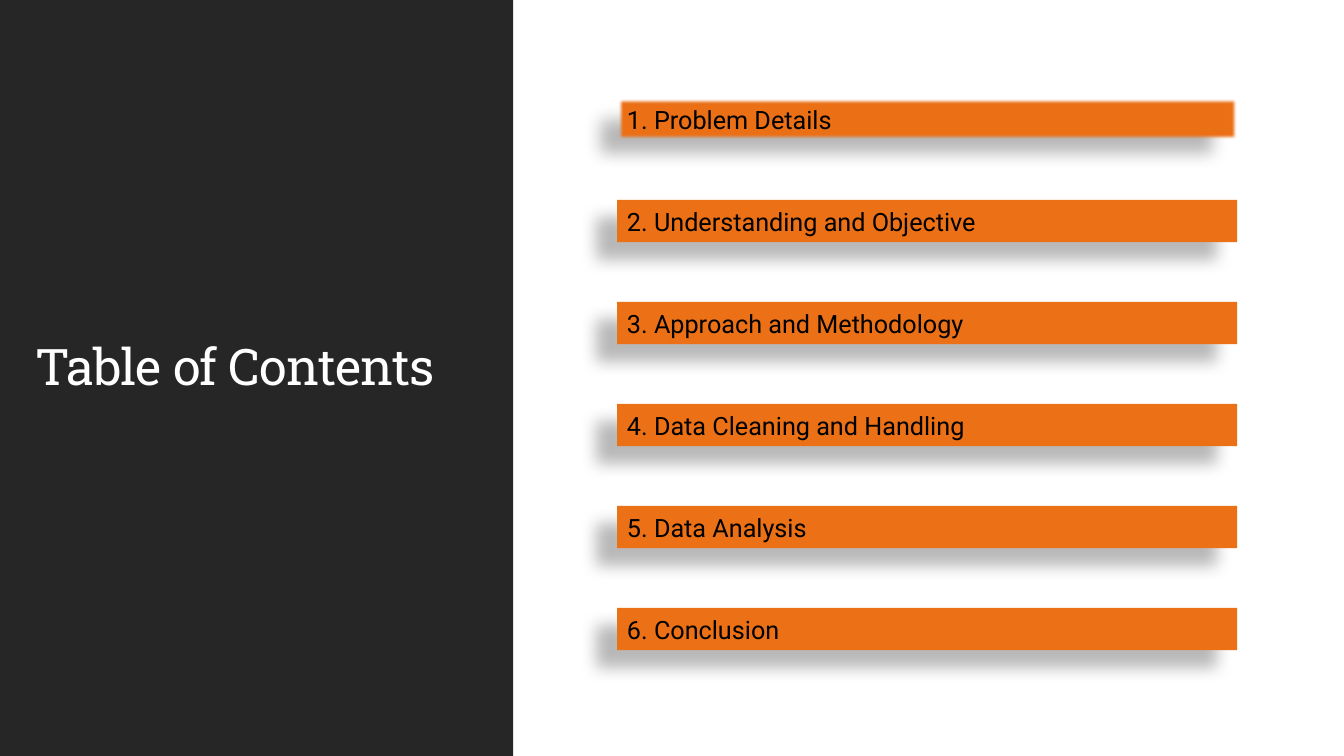
from lxml import etree
from pptx import Presentation
from pptx.dml.color import RGBColor
from pptx.enum import shapes, text
from pptx.oxml.ns import qn
from pptx.util import Inches, Pt

TITLE = "Table of Contents"
TOPICS = [
    "Problem Details",
    "Understanding and Objective",
    "Approach and Methodology",
    "Data Cleaning and Handling",
    "Data Analysis",
    "Conclusion",
]
THEME = {
    "panel": "262626", "bar": "EC7016", "title": "FFFFFF", "topic": "000000",
    "shadow": "000000", "page": "FFFFFF",
    "title_font": "Roboto Slab", "topic_font": "Roboto",
    "title_size": 36, "topic_size": 18,
}
PANEL = (0, 0, 5.09, 7.5)
TITLE_BOX = (0.25, 1.69, 4.47, 2.29)
BAR_LEFT, BAR_WIDTH, BAR_HEIGHT = 6.12, 6.15, 0.42
FIRST_TOP, LAST_TOP = 0.97, 6.03


def color(name):
    return RGBColor.from_string(THEME[name])


def add_rectangle(page, place, fill):
    box = page.shapes.add_shape(
        shapes.MSO_SHAPE.RECTANGLE, *(Inches(n) for n in place))
    box.shadow.inherit = False
    box.fill.solid()
    box.fill.fore_color.rgb = color(fill)
    box.line.fill.background()
    return box


def write(box, words, role, anchor):
    frame = box.text_frame
    frame.word_wrap = True
    frame.vertical_anchor = anchor
    para = frame.paragraphs[0]
    para.alignment = text.PP_ALIGN.LEFT
    span = para.add_run()
    span.text = words
    span.font.name = THEME[role + "_font"]
    span.font.size = Pt(THEME[role + "_size"])
    span.font.color.rgb = color(role)
    return para, span


def add_effects(box, soft_edge):
    effects = box._element.spPr.find(qn("a:effectLst"))
    shadow = etree.SubElement(
        effects, qn("a:outerShdw"), blurRad=str(Pt(11.8)), dist=str(Pt(19.7)),
        dir=str(141 * 60000), algn="ctr", rotWithShape="0")
    tint = etree.SubElement(shadow, qn("a:srgbClr"), val=THEME["shadow"])
    etree.SubElement(tint, qn("a:alpha"), val="28000")
    if soft_edge:
        etree.SubElement(effects, qn("a:softEdge"), rad=str(Pt(2.5)))


def main():
    deck = Presentation()
    deck.slide_width, deck.slide_height = Inches(13.33), Inches(7.5)
    page = deck.slides.add_slide(deck.slide_layouts[6])
    page.background.fill.solid()
    page.background.fill.fore_color.rgb = color("page")

    # Dark panel with the title
    add_rectangle(page, PANEL, "panel")
    title = page.shapes.add_textbox(*(Inches(n) for n in TITLE_BOX))
    para, span = write(title, TITLE, "title", text.MSO_ANCHOR.BOTTOM)
    para.line_spacing = 0.9
    span.font._element.set("spc", "-50")

    # Evenly spaced topic bars; the first has a soft edge
    step = (LAST_TOP - FIRST_TOP) / (len(TOPICS) - 1)
    for index, topic in enumerate(TOPICS):
        place = (BAR_LEFT, FIRST_TOP + index * step, BAR_WIDTH, BAR_HEIGHT)
        bar = add_rectangle(page, place, "bar")
        add_effects(bar, soft_edge=index == 0)
        write(bar, f"{index + 1}. {topic}", "topic", text.MSO_ANCHOR.MIDDLE)

    deck.save("out.pptx")


if __name__ == "__main__":
    main()
